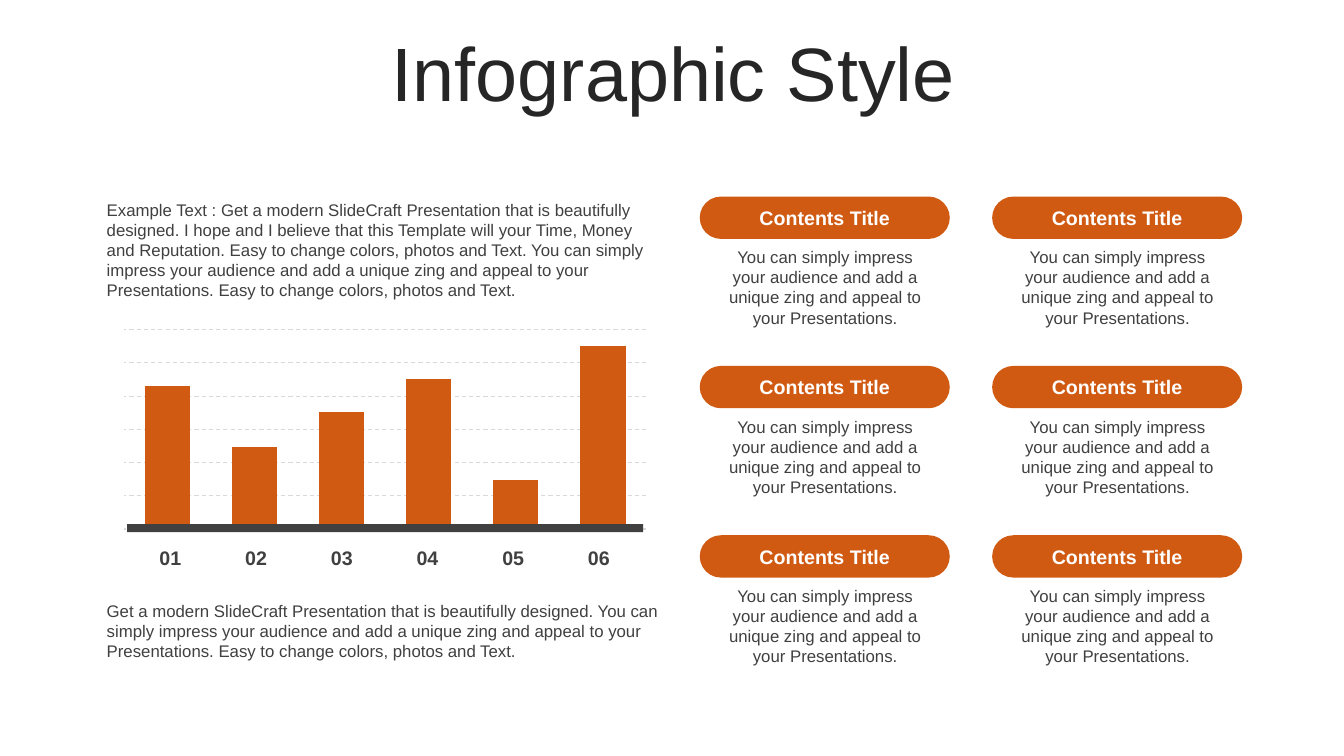
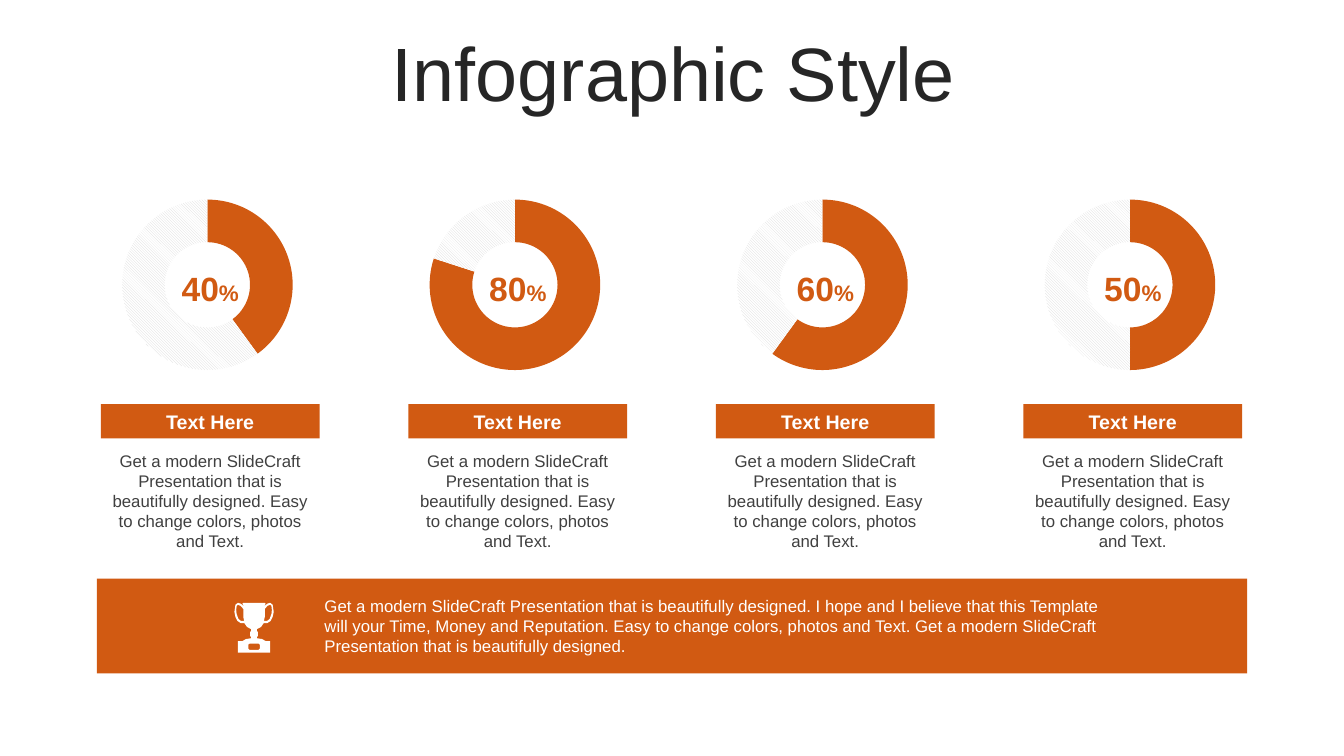
import pptx
import pptx.util
import pptx.chart.data
import pptx.dml.color
import pptx.enum.chart
import pptx.enum.dml
import pptx.enum.shapes
import pptx.enum.text
import pptx.oxml

Inches, Pt = pptx.util.Inches, pptx.util.Pt
RGB = pptx.dml.color.RGBColor.from_string
ALIGN = pptx.enum.text.PP_ALIGN
ANCHOR = pptx.enum.text.MSO_ANCHOR
SHAPE = pptx.enum.shapes.MSO_SHAPE
CHART = pptx.enum.chart.XL_CHART_TYPE

# Content
TITLE = "Infographic Style"
INTRO = ("Example Text : Get a modern SlideCraft Presentation that is beautifully designed. "
         "I hope and I believe that this Template will your Time, Money and Reputation. "
         "Easy to change colors, photos and Text. You can simply impress your audience and "
         "add a unique zing and appeal to your Presentations. "
         "Easy to change colors, photos and Text.")
CLOSING = ("Get a modern SlideCraft Presentation that is beautifully designed. You can simply "
           "impress your audience and add a unique zing and appeal to your Presentations. "
           "Easy to change colors, photos and Text.")
BARS = {"01": 78, "02": 45, "03": 64, "04": 82, "05": 27, "06": 100}
BAR_AXIS_MAX, BAR_GRID_STEPS = 109, 6
CARDS = [("Contents Title", "You can simply impress your audience and add a unique zing "
                            "and appeal to your Presentations.")] * 6
RINGS = [(share, "Text Here", "Get a modern SlideCraft Presentation that is beautifully "
                              "designed. Easy to change colors, photos and Text.")
         for share in (40, 80, 60, 50)]
BANNER = ("Get a modern SlideCraft Presentation that is beautifully designed. I hope and I "
          "believe that this Template will your Time, Money and Reputation. Easy to change "
          "colors, photos and Text. Get a modern SlideCraft Presentation that is "
          "beautifully designed.")

# Trophy: right halves, in thousandths of an inch from the top of its axis
TROPHY_OUTLINE = [(0, 0), (105, 0), (115, 10), (105, 25), (105, 32), (130, 10), (160, 0),
                  (185, 20), (195, 90), (185, 140), (165, 180), (130, 203), (95, 203),
                  (70, 240), (28, 262), (28, 280), (38, 290), (38, 330), (28, 340),
                  (28, 352), (80, 360), (115, 380), (160, 380), (160, 495)]
TROPHY_HANDLE = [(160, 20), (135, 30), (107, 60), (107, 140), (98, 180), (130, 180),
                 (155, 160), (173, 110), (177, 70), (172, 30)]
TROPHY_PLATE = [(45, 405), (57, 415), (57, 455), (45, 468)]


class Theme:
    font = "Arial"
    accent, dark, title = RGB("D15A12"), RGB("404040"), RGB("262626")
    white, grid = RGB("FFFFFF"), RGB("D9D9D9")
    title_size, number_size, unit_size = Pt(54), Pt(24), Pt(16)
    label_size, body_size, chart_size = Pt(14), Pt(12), Pt(18)


def box(left, top, width, height):
    return [Inches(v) for v in (left, top, width, height)]


def style(p, size, color, bold=False, align=ALIGN.LEFT):
    p.alignment = align
    p.font.name, p.font.size, p.font.bold = Theme.font, size, bold
    p.font.color.rgb = color


def add_text(slide, at, text, size=Theme.body_size, color=Theme.dark, bold=False,
             align=ALIGN.LEFT):
    tf = slide.shapes.add_textbox(*box(*at)).text_frame
    tf.word_wrap = True
    tf.text = text
    style(tf.paragraphs[0], size, color, bold, align)
    return tf


def paint(sp, color):
    sp.shadow.inherit = False
    sp.fill.solid()
    sp.fill.fore_color.rgb = color
    sp.line.fill.background()


def add_block(slide, at, color=Theme.accent, kind=SHAPE.RECTANGLE, label=None):
    sp = slide.shapes.add_shape(kind, *box(*at))
    paint(sp, color)
    if label:
        tf = sp.text_frame
        tf.text = label
        tf.vertical_anchor = ANCHOR.MIDDLE
        style(tf.paragraphs[0], Theme.label_size, Theme.white, True, ALIGN.CENTER)
    return sp


def add_chart(slide, kind, at, categories, values):
    data = pptx.chart.data.CategoryChartData()
    data.categories = categories
    data.add_series("Series 1", values)
    chart = slide.shapes.add_chart(kind, *box(*at), data).chart
    chart.has_legend = chart.has_title = False
    chart.font.name, chart.font.size = Theme.font, Theme.chart_size
    return chart


def add_bar_chart(slide, at):
    chart = add_chart(slide, CHART.COLUMN_CLUSTERED, at, list(BARS), list(BARS.values()))
    plot = chart.plots[0]
    plot.gap_width, plot.overlap, plot.vary_by_categories = 92, -7, False
    fill = plot.series[0].format.fill
    fill.solid()
    fill.fore_color.rgb = Theme.accent
    chart.category_axis.visible = False
    axis = chart.value_axis
    axis.visible = False
    axis.minimum_scale, axis.maximum_scale = 0, BAR_AXIS_MAX
    axis.major_unit = BAR_AXIS_MAX / BAR_GRID_STEPS
    line = axis.major_gridlines.format.line
    line.color.rgb, line.width = Theme.grid, Pt(0.75)
    line.dash_style = pptx.enum.dml.MSO_LINE.DASH


def add_ring_chart(slide, at, share):
    chart = add_chart(slide, CHART.DOUGHNUT, at, ["1", "2"], [share, 100 - share])
    plot = chart.plots[0]
    plot.vary_by_categories = False
    done, rest = [plot.series[0].points[i].format for i in range(2)]
    done.fill.solid()
    done.fill.fore_color.rgb = Theme.accent
    rest.fill.patterned()
    rest.fill.pattern = pptx.enum.dml.MSO_PATTERN.LIGHT_DOWNWARD_DIAGONAL
    rest.fill.fore_color.rgb, rest.fill.back_color.rgb = Theme.grid, Theme.white
    for part in (done, rest):
        part.line.fill.background()

    # Hole size and plot area have no public setting
    ns = "http://schemas.openxmlformats.org/drawingml/2006/chart"
    area = chart.element.find(f".//{{{ns}}}plotArea")
    area.find(f".//{{{ns}}}holeSize").set("val", "75")
    for old in area.findall(f"{{{ns}}}layout"):
        area.remove(old)
    settings = [("layoutTarget", "inner"), ("xMode", "edge"), ("yMode", "edge"),
                ("x", 0), ("y", 0), ("w", 0.98), ("h", 0.94)]
    tags = "".join(f'<c:{tag} val="{val}"/>' for tag, val in settings)
    area.insert(0, pptx.oxml.parse_xml(
        f'<c:layout xmlns:c="{ns}"><c:manualLayout>{tags}</c:manualLayout></c:layout>'))


def mirror(points):
    return [(-x, y) for x, y in points]


def add_trophy(slide, axis, top):
    contours = [TROPHY_OUTLINE + mirror(TROPHY_OUTLINE)[::-1],
                TROPHY_HANDLE, mirror(TROPHY_HANDLE),
                TROPHY_PLATE + mirror(TROPHY_PLATE)[::-1]]
    builder = slide.shapes.build_freeform(*contours[0][0], scale=Inches(0.001))
    for i, points in enumerate(contours):
        if i:
            builder.move_to(*points[0])
        builder.add_line_segments(points[1:], close=True)
    paint(builder.convert_to_shape(Inches(axis), Inches(top)), Theme.white)


def add_slide(prs, layout):
    slide = prs.slides.add_slide(layout)
    tf = slide.shapes.title.text_frame
    tf.text = TITLE
    tf.auto_size = pptx.enum.text.MSO_AUTO_SIZE.NONE
    tf.vertical_anchor = ANCHOR.MIDDLE
    p = tf.paragraphs[0]
    p.line_spacing = 0.9
    style(p, Theme.title_size, Theme.title, align=ALIGN.CENTER)
    return slide


def build_bar_slide(slide):
    # Left: text, chart with base line and labels, text
    add_bar_chart(slide, (1.12, 3.23, 5.4, 2.06))
    add_text(slide, (0.96, 1.93, 5.72, 1.11), INTRO)
    add_block(slide, (1.26, 5.2, 5.12, 0.08), Theme.dark)
    for i, label in enumerate(BARS):
        add_text(slide, (1.33 + 0.85 * i, 5.37, 0.72, 0.34), label, Theme.label_size,
                 bold=True, align=ALIGN.CENTER)
    add_text(slide, (0.96, 5.91, 5.72, 0.71), CLOSING)

    # Right: two columns of cards
    for i, (heading, text) in enumerate(CARDS):
        row, col = divmod(i, 2)
        left, top = 6.94 + 2.9 * col, 1.95 + 1.68 * row
        pill = add_block(slide, (left, top, 2.48, 0.42), kind=SHAPE.ROUNDED_RECTANGLE,
                         label=heading)
        pill.adjustments[0] = 0.5
        add_text(slide, (left + 0.18, top + 0.45, 2.13, 0.91), text, align=ALIGN.CENTER)


def build_ring_slide(slide):
    # Rings with their captions
    for i, (share, heading, text) in enumerate(RINGS):
        left = 1 + 3.05 * i
        add_ring_chart(slide, (left + 0.21, 1.98, 1.73, 1.8), share)
        tf = add_text(slide, (left + 0.64, 2.61, 0.89, 0.5), str(share), Theme.number_size,
                      Theme.accent, True, ALIGN.CENTER)
        tf.vertical_anchor = ANCHOR.MIDDLE
        r = tf.paragraphs[0].add_run()
        r.text, r.font.size = "%", Theme.unit_size
        add_block(slide, (left, 4.01, 2.17, 0.34), label=heading)
        add_text(slide, (left, 4.42, 2.17, 1.11), text, align=ALIGN.CENTER)

    # Banner
    add_block(slide, (0.96, 5.74, 11.41, 0.94))
    add_text(slide, (3.12, 5.86, 8.07, 0.71), BANNER, color=Theme.white)
    add_trophy(slide, 2.52, 5.98)


def main():
    prs = pptx.Presentation()
    prs.slide_width, prs.slide_height = Inches(13.33), Inches(7.5)
    layout = prs.slide_layouts.get_by_name("Title Only")
    title = layout.placeholders[0]
    title.left, title.top, title.width, title.height = box(0.35, 0.37, 12.66, 0.79)
    for build in (build_bar_slide, build_ring_slide):
        build(add_slide(prs, layout))
    prs.save("out.pptx")


if __name__ == "__main__":
    main()
